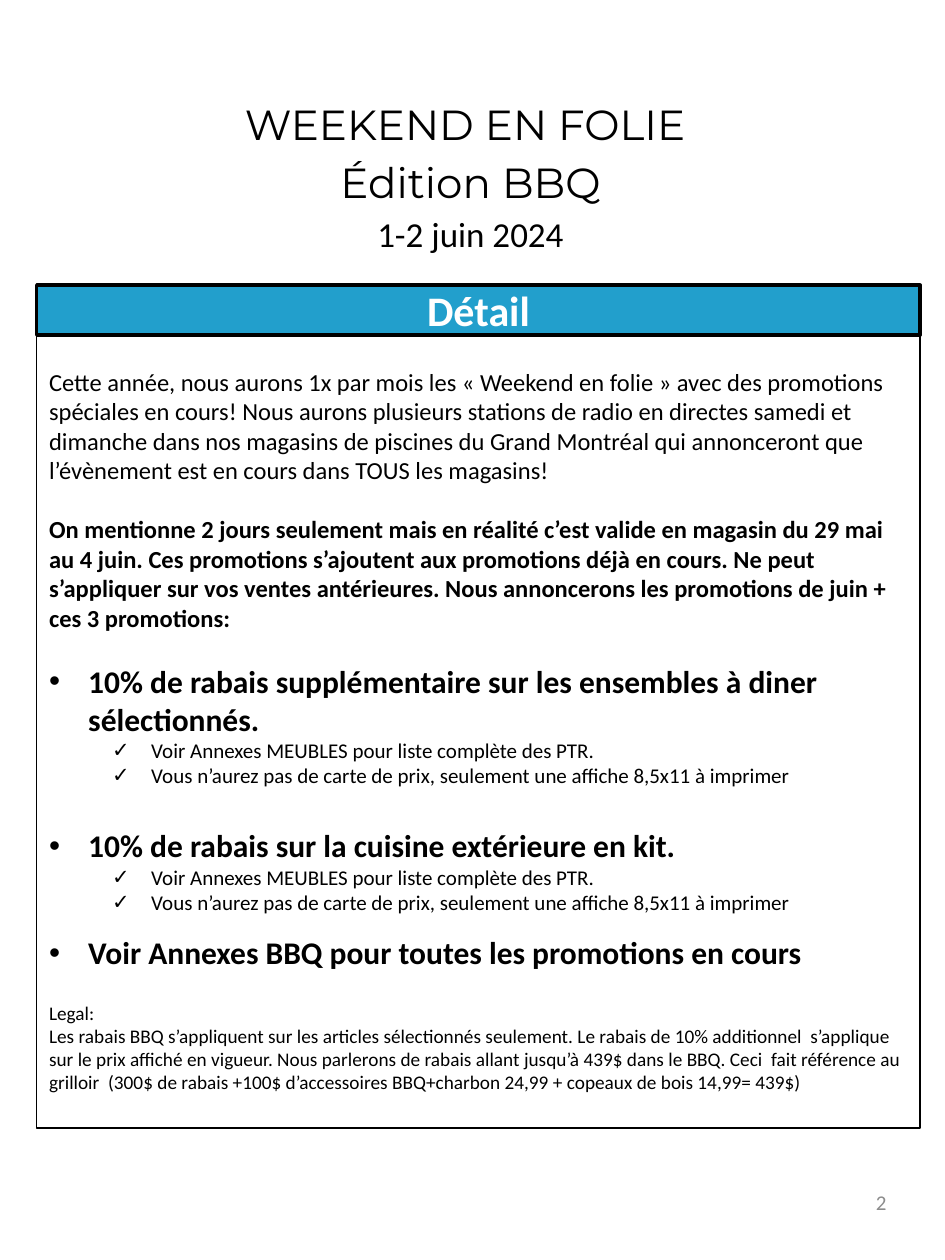
from lxml import etree
from pptx import Presentation
from pptx import util as u
from pptx.dml.color import RGBColor
from pptx.enum import shapes, text
from pptx.oxml import ns

BLACK = RGBColor(0, 0, 0)
WHITE = RGBColor(255, 255, 255)
BLUE = RGBColor(0x22, 0x9F, 0xCC)
GREY = RGBColor(0x8C, 0x8C, 0x8C)

BODY = {"size": 14}
STRONG = {"size": 14, "bold": True}
OFFER = {"size": 18, "bold": True}
NOTE = {"size": 12}
LEGAL = {"size": 11}

INTRO = (
    "Cette année, nous aurons 1x par mois les « Weekend en folie » avec des promotions "
    "spéciales en cours! Nous aurons plusieurs stations de radio en directes samedi et "
    "dimanche dans nos magasins de piscines du Grand Montréal qui annonceront que "
    "l’évènement est en cours dans TOUS les magasins!"
)
VALIDITY = (
    "On mentionne 2 jours seulement mais en réalité c’est valide en magasin du 29 mai "
    "au 4 juin. Ces promotions s’ajoutent aux promotions déjà en cours. Ne peut "
    "s’appliquer sur vos ventes antérieures. Nous annoncerons les promotions de juin + "
    "ces 3 promotions:"
)
OFFERS = [
    ("10% de rabais supplémentaire sur les ensembles à diner sélectionnés.", 17),
    ("10% de rabais sur la cuisine extérieure en kit.", 22),
]
OFFER_NOTES = [
    "Voir Annexes MEUBLES pour liste complète des PTR.",
    "Vous n’aurez pas de carte de prix, seulement une affiche 8,5x11 à imprimer",
]
CONDITIONS = (
    "Les rabais BBQ s’appliquent sur les articles sélectionnés seulement. Le rabais de 10% "
    "additionnel  s’applique sur le prix affiché en vigueur. Nous parlerons de rabais allant "
    "jusqu’à 439$ dans le BBQ. Ceci  fait référence au grilloir  (300$ de rabais +100$ "
    "d’accessoires BBQ+charbon 24,99 + copeaux de bois 14,99= 439$)"
)


def set_all(target, values):
    """Set every attribute named in values on target."""
    for name, value in values.items():
        setattr(target, name, value)


def style_font(font, size, color=BLACK, name="Calibri", bold=False):
    """Give a font its size, colour, face and weight."""
    set_all(font, {"size": u.Pt(size), "name": name, "bold": bold})
    font.fill.solid()
    font.fill.fore_color.rgb = color


def add_panel(slide, top, height, line_width, fill=None):
    """Add a full-width outlined rectangle and return its text frame."""
    panel = slide.shapes.add_shape(
        shapes.MSO_SHAPE.RECTANGLE, u.Cm(0.74), u.Cm(top), u.Cm(17.81), u.Cm(height))
    panel.shadow.inherit = False
    if fill is None:
        panel.fill.background()
    else:
        panel.fill.solid()
        panel.fill.fore_color.rgb = fill
    panel.line.color.rgb = BLACK
    panel.line.width = u.Pt(line_width)
    return panel.text_frame


def add_bullet(paragraph, mark, indent):
    """Give a paragraph a hanging bullet at the indent in centimetres."""
    props = paragraph._p.get_or_add_pPr()
    props.set("marL", str(u.Cm(indent)))
    props.set("indent", str(-u.Cm(0.79)))
    etree.SubElement(props, ns.qn("a:buFont")).set("typeface", "Arial")
    etree.SubElement(props, ns.qn("a:buChar")).set("char", mark)


def add_paragraph(frame, words, look, before=0, mark=None, indent=0.79, **layout):
    """Write the next paragraph of a frame."""
    paragraph = frame.paragraphs[0]
    if paragraph.runs:
        paragraph = frame.add_paragraph()
    if mark:
        add_bullet(paragraph, mark, indent)
    set_all(paragraph, {"alignment": text.PP_ALIGN.LEFT, **layout})
    if before:
        paragraph.space_before = u.Pt(before)
    run = paragraph.add_run()
    run.text = words
    style_font(run.font, **look)


def add_title(slide):
    """Place and fill the title placeholder."""
    title = slide.shapes.title
    set_all(title, {"left": u.Cm(0.91), "top": u.Cm(1.7),
                    "width": u.Cm(17.15), "height": u.Cm(3)})
    frame = title.text_frame
    set_all(frame, {"word_wrap": True, "auto_size": text.MSO_AUTO_SIZE.NONE,
                    "vertical_anchor": text.MSO_ANCHOR.TOP})
    heading = frame.paragraphs[0]
    set_all(heading, {"alignment": text.PP_ALIGN.CENTER, "line_spacing": 1.15,
                      "space_after": u.Pt(10)})
    for words in ("WEEKEND EN FOLIE ", "Édition BBQ"):
        run = heading.add_run()
        run.text = words
        style_font(run.font, 24, name="Montserrat")
        outline = etree.Element(ns.qn("a:ln"), w=str(u.Pt(0.4)))
        paint = etree.SubElement(outline, ns.qn("a:solidFill"))
        etree.SubElement(paint, ns.qn("a:srgbClr")).set("val", str(BLACK))
        run.font._element.insert(0, outline)
        heading.add_line_break()
    dates = heading.add_run()
    dates.text = "1-2 juin 2024"
    style_font(dates.font, 20)


def add_details(slide):
    """Add the detail panel with its offers and legal text."""
    frame = add_panel(slide, 6.76, 15.98, 0.75)
    set_all(frame, {"word_wrap": True, "vertical_anchor": text.MSO_ANCHOR.TOP,
                    "margin_top": u.Cm(0.64)})
    add_paragraph(frame, INTRO, BODY)
    add_paragraph(frame, VALIDITY, STRONG, before=17)
    for offer, gap in OFFERS:
        add_paragraph(frame, offer, OFFER, before=gap, mark="•")
        for note in OFFER_NOTES:
            add_paragraph(frame, note, NOTE, mark="✓", indent=2.06, level=1)
    add_paragraph(frame, "Voir Annexes BBQ pour toutes les promotions en cours", OFFER,
                  mark="•", line_spacing=1.5)
    add_paragraph(frame, "Legal:", LEGAL, before=17)
    add_paragraph(frame, CONDITIONS, LEGAL)


def add_page_number(slide):
    """Add the page number at the lower right."""
    frame = slide.shapes.add_textbox(
        u.Cm(13.67), u.Cm(23.55), u.Cm(4.45), u.Cm(1.35)).text_frame
    set_all(frame, {"word_wrap": True, "vertical_anchor": text.MSO_ANCHOR.MIDDLE})
    add_paragraph(frame, "2", {"size": 12, "color": GREY}, alignment=text.PP_ALIGN.RIGHT)


def main():
    """Build the slide and save it."""
    deck = Presentation()
    set_all(deck, {"slide_width": u.Cm(19.05), "slide_height": u.Cm(25.4)})
    slide = deck.slides.add_slide(deck.slide_layouts[5])
    add_title(slide)
    banner = add_panel(slide, 5.75, 1, 2, BLUE)
    banner.vertical_anchor = text.MSO_ANCHOR.MIDDLE
    add_paragraph(banner, "Détail", {"size": 24, "color": WHITE, "bold": True},
                  alignment=text.PP_ALIGN.CENTER)
    add_details(slide)
    add_page_number(slide)
    deck.save("out.pptx")


if __name__ == "__main__":
    main()
